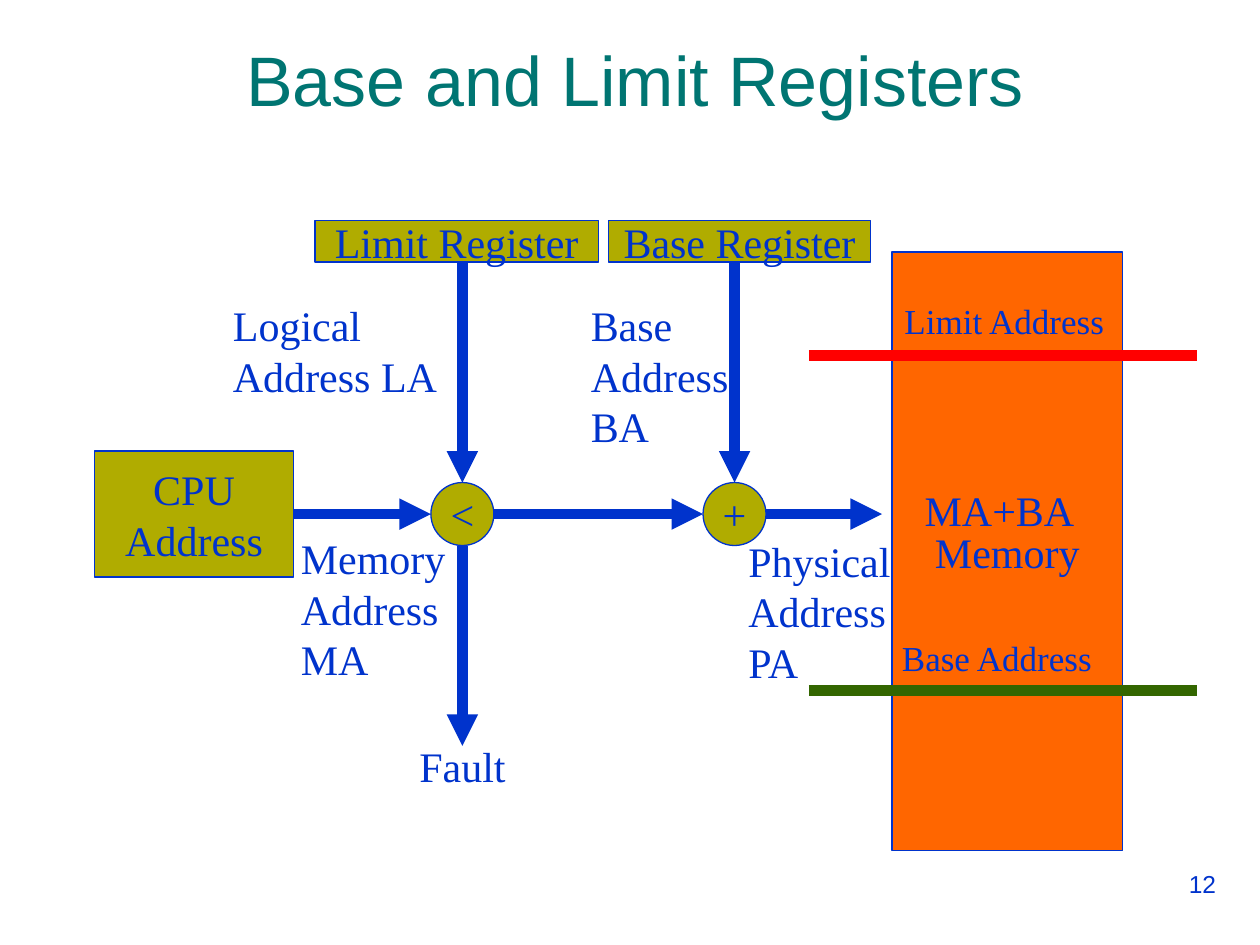
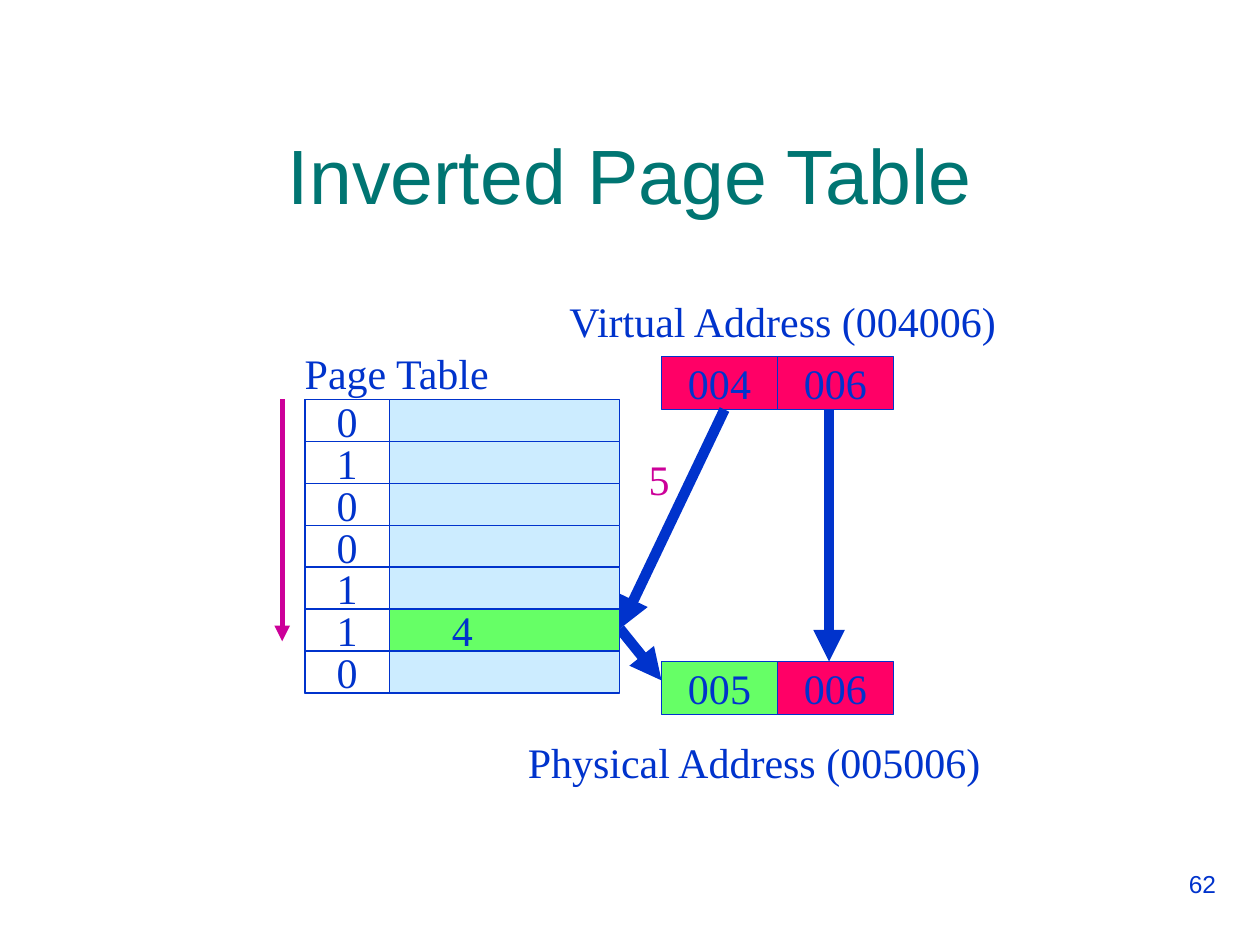
import pptx
import pptx.util
from lxml import etree
from pptx.dml.color import RGBColor
from pptx.enum.shapes import MSO_CONNECTOR, MSO_SHAPE
from pptx.enum.text import MSO_ANCHOR, MSO_AUTO_SIZE, PP_ALIGN
from pptx.oxml.ns import qn
from pptx.util import Inches

BLUE = RGBColor(0x00, 0x33, 0xCC)
TEAL = RGBColor(0x00, 0x75, 0x72)
OLIVE = RGBColor(0xB0, 0xAC, 0x00)
ORANGE = RGBColor(0xFF, 0x66, 0x00)
RED = RGBColor(0xFF, 0x00, 0x00)
DARK_GREEN = RGBColor(0x33, 0x66, 0x00)
PINK = RGBColor(0xFF, 0x00, 0x66)
LIGHT_GREEN = RGBColor(0x66, 0xFF, 0x66)
PALE_BLUE = RGBColor(0xCC, 0xEC, 0xFF)
MAGENTA = RGBColor(0xCC, 0x00, 0x99)
WHITE = RGBColor(0xFF, 0xFF, 0xFF)

SANS, SERIF = "Arial", "Times New Roman"


def write(frame, text, size=24, font=SERIF, color=BLUE, align=PP_ALIGN.LEFT):
    frame.text = text
    for para in frame.paragraphs:
        para.alignment = align
        for span in para.runs:
            span.font.size = pptx.util.Pt(size)
            span.font.name = font
            span.font.color.rgb = color


def add_label(page, left, top, width, text, **style):
    """Place unwrapped text, one paragraph for each line."""
    height = 0.1 + 0.4 * len(text.split("\n"))
    box = page.shapes.add_textbox(Inches(left), Inches(top), Inches(width), Inches(height))
    box.text_frame.word_wrap = False
    box.text_frame.auto_size = MSO_AUTO_SIZE.SHAPE_TO_FIT_TEXT
    write(box.text_frame, text, **style)


def add_block(page, left, top, width, height, fill, text="", kind=MSO_SHAPE.RECTANGLE):
    block = page.shapes.add_shape(
        kind, Inches(left), Inches(top), Inches(width), Inches(height))
    block.shadow.inherit = False
    block.fill.solid()
    block.fill.fore_color.rgb = fill
    block.line.color.rgb = BLUE
    block.line.width = pptx.util.Pt(0.75)
    if text:
        block.text_frame.word_wrap = False
        block.text_frame.vertical_anchor = MSO_ANCHOR.MIDDLE
        write(block.text_frame, text, align=PP_ALIGN.CENTER)


def add_line(page, start, end, color=BLUE, width=6, arrow=True):
    line = page.shapes.add_connector(
        MSO_CONNECTOR.STRAIGHT, *(Inches(value) for value in (*start, *end)))
    line.line.color.rgb = color
    line.line.width = pptx.util.Pt(width)
    if arrow:
        etree.SubElement(line.line._get_or_add_ln(), qn("a:tailEnd"), type="triangle")
    etree.SubElement(line._element.spPr, qn("a:effectLst"))


def add_page(deck, title, number, title_top, title_width, title_size):
    page = deck.slides.add_slide(deck.slide_layouts[5])
    heading = page.shapes.title
    heading.left, heading.top = Inches(0.33), Inches(title_top)
    heading.width, heading.height = Inches(title_width), Inches(1.25)
    heading.text_frame.vertical_anchor = MSO_ANCHOR.MIDDLE
    write(heading.text_frame, title, title_size, SANS, TEAL, PP_ALIGN.CENTER)

    footer = page.shapes.add_textbox(Inches(7.25), Inches(6.85), Inches(2.5), Inches(0.52))
    footer.text_frame.word_wrap = True
    write(footer.text_frame, str(number), 14, SANS, align=PP_ALIGN.RIGHT)
    return page


def add_memory(page, left, top):
    """Draw the memory column with its two boundary lines."""
    add_block(page, left, top, 1.83, 4.75, ORANGE, "Memory")
    for offset, color in ((0.82, RED), (3.48, DARK_GREEN)):
        add_line(page, (left - 0.66, top + offset), (left + 2.42, top + offset),
                 color, arrow=False)
    add_label(page, left, top + 0.33, 1.8, "Limit Address", size=20)
    add_label(page, left - 0.02, top + 3, 1.72, "Base Address", size=20)
    add_label(page, left + 0.16, top + 1.8, 1.39, "MA+BA")


def add_address_check(page, left, top):
    """Draw the path from the CPU through the limit test and the base adder."""
    radius = 0.25
    row = top + 2.33
    compare, adder = left + 2.92, left + 5.08

    add_block(page, left, top + 1.83, 1.58, 1, OLIVE, "CPU\nAddress")
    add_block(page, left + 1.75, top, 2.25, 0.33, OLIVE, "Limit Register")
    add_block(page, left + 4.08, top, 2.08, 0.33, OLIVE, "Base Register")
    for center, sign in ((compare, "<"), (adder, "+")):
        add_block(page, center - radius, row - radius, 2 * radius, 2 * radius,
                  OLIVE, sign, MSO_SHAPE.OVAL)
        add_line(page, (center, top + 0.33), (center, row - radius))

    for start, end in ((left + 1.58, compare - radius),
                       (compare + radius, adder - radius),
                       (adder + radius, left + 6.25)):
        add_line(page, (start, row), (end, row))
    add_line(page, (compare, row + radius), (compare, top + 4.17))

    add_label(page, left + 1, top + 0.58, 1.82, "Logical\nAddress LA")
    add_label(page, left + 3.84, top + 0.58, 1.29, "Base\nAddress\nBA")
    add_label(page, left + 1.54, top + 2.43, 1.37, "Memory\nAddress\nMA")
    add_label(page, left + 5.09, top + 2.45, 1.41, "Physical\nAddress\nPA")
    add_label(page, left + 2.48, top + 4.08, 0.9, "Fault")


def add_address(page, left, top, parts):
    """Draw the page number and the offset side by side."""
    for index, (text, fill) in enumerate(parts):
        add_block(page, left + index * 0.92, top, 0.92, 0.42, fill, text)


def add_translation(page, left, top):
    """Draw the virtual address above the physical one, with their arrows."""
    add_label(page, left - 0.83, top - 0.53, 3.62, "Virtual Address (004006)")
    add_address(page, left, top, (("004", PINK), ("006", PINK)))
    add_address(page, left, top + 2.42, (("005", LIGHT_GREEN), ("006", PINK)))
    add_label(page, left - 1.16, top + 2.97, 3.81, "Physical Address (005006)")

    entry = (left - 0.33, top + 2.16)
    add_line(page, (left + 1.33, top + 0.42), (left + 1.33, top + 2.42))
    add_line(page, (left + 0.5, top + 0.42), entry)
    add_line(page, entry, (left, top + 2.57))
    add_label(page, left - 0.2, top + 0.72, 0.36, "5", color=MAGENTA)


def add_page_table(page, left, top, flags, match, match_text):
    row_height = 2.33 / len(flags)
    add_label(page, left - 0.1, top - 0.46, 1.69, "Page Table")
    for index, flag in enumerate(flags):
        row_top = top + index * row_height
        found = index == match
        add_block(page, left, row_top, 2.5, row_height,
                  LIGHT_GREEN if found else PALE_BLUE, match_text if found else "")
        add_block(page, left, row_top, 0.67, row_height, WHITE, flag)
    add_line(page, (left - 0.18, top), (left - 0.18, top + 1.92), MAGENTA, 3)


def main():
    deck = pptx.Presentation()
    deck.slide_width, deck.slide_height = Inches(10), Inches(7.5)

    registers = add_page(deck, "Base and Limit Registers", 12, 0, 9.42, 40)
    add_memory(registers, 7.08, 2)
    add_address_check(registers, 0.75, 1.75)

    inverted = add_page(deck, "Inverted Page Table", 62, 0.75, 9.34, 44)
    add_translation(inverted, 5.25, 2.83)
    add_page_table(inverted, 2.42, 3.17, "0100110", match=5, match_text="4")

    deck.save("out.pptx")


if __name__ == "__main__":
    main()
